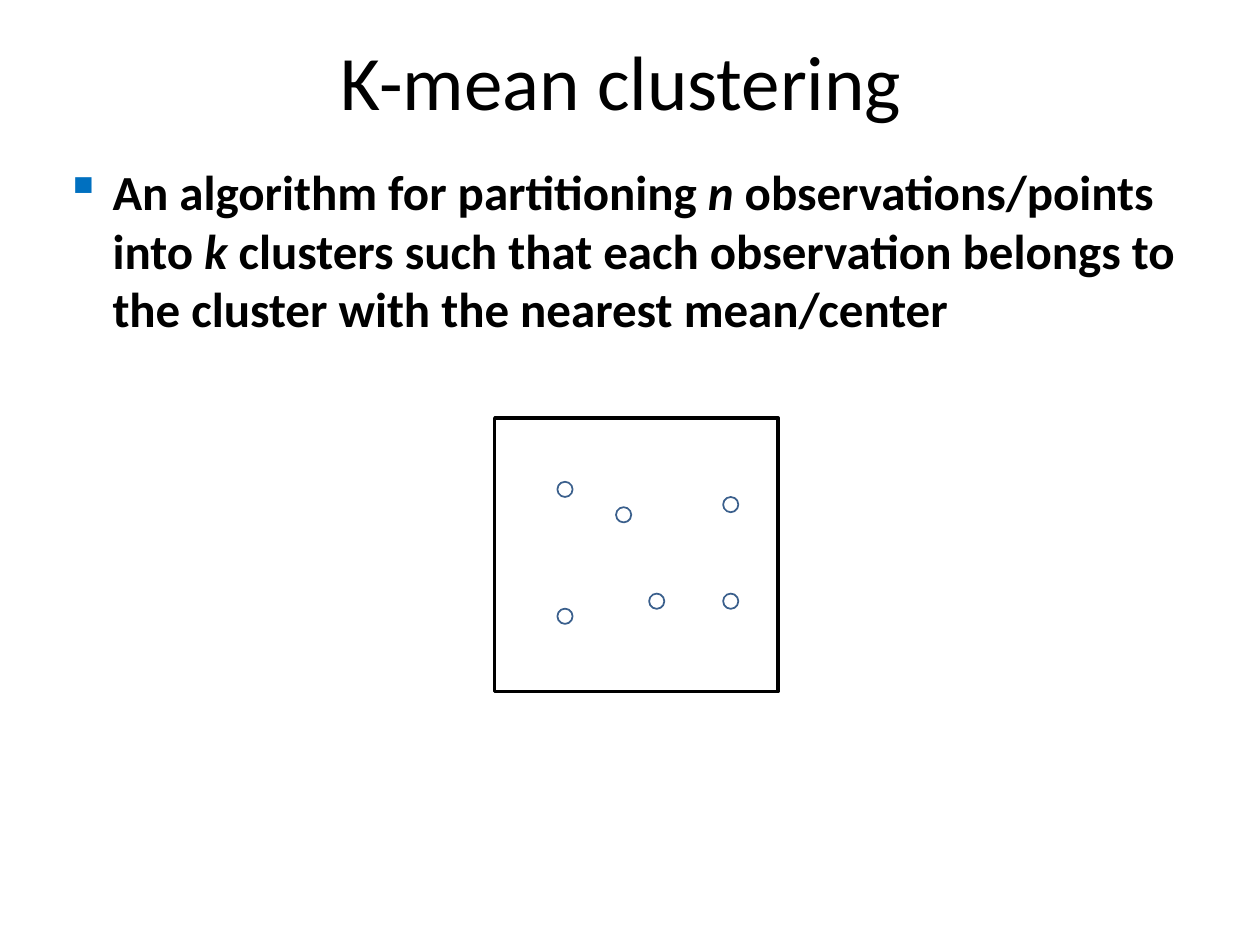
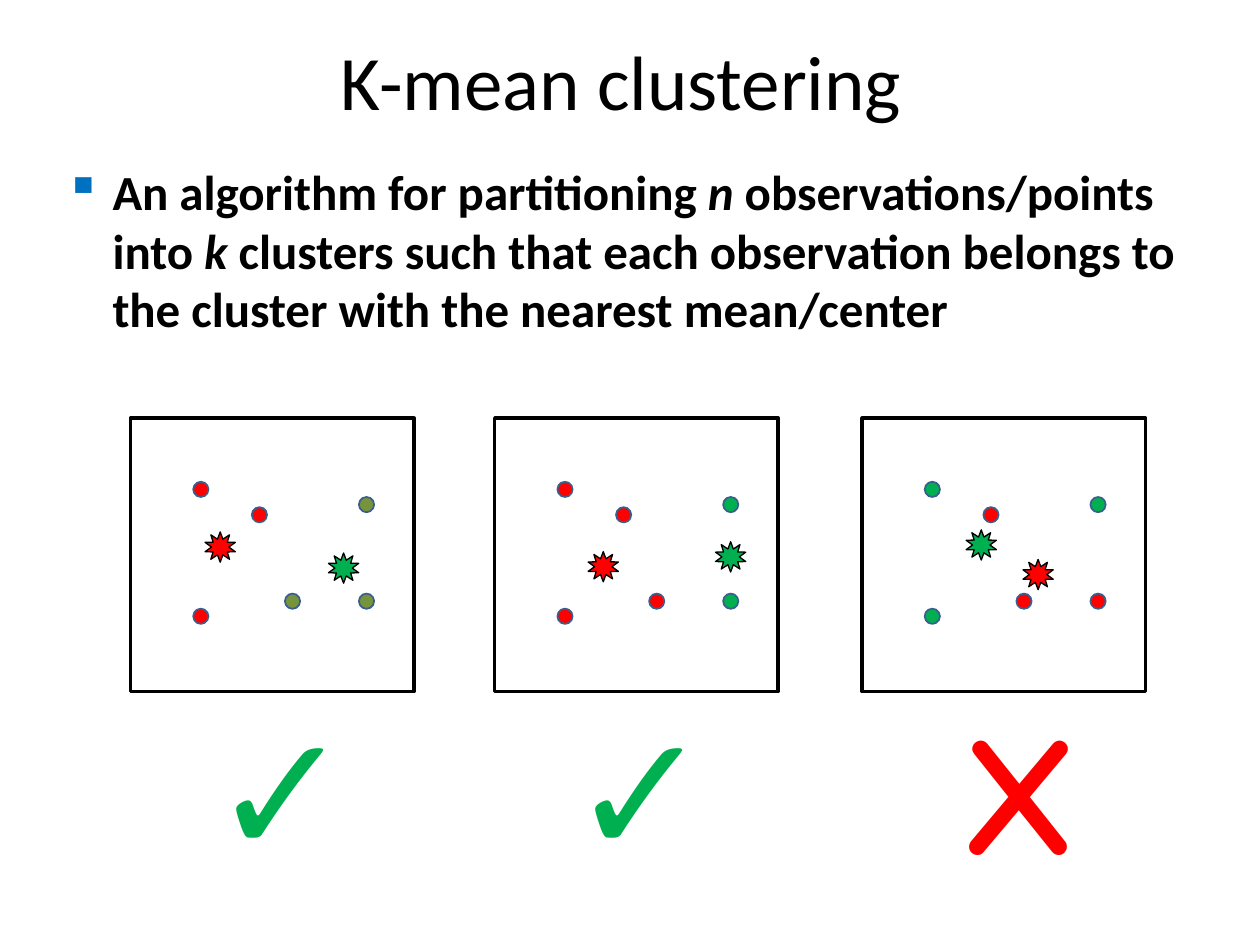
from lxml import etree
from pptx import Presentation
from pptx.dml.color import RGBColor
from pptx.enum.shapes import MSO_SHAPE
from pptx.enum.text import MSO_ANCHOR, PP_ALIGN
from pptx.oxml.ns import qn
from pptx.util import Pt

RECT, OVAL, STAR = MSO_SHAPE.RECTANGLE, MSO_SHAPE.OVAL, MSO_SHAPE.STAR_10_POINT
TOP, MIDDLE = MSO_ANCHOR.TOP, MSO_ANCHOR.MIDDLE
LEFT, CENTER = PP_ALIGN.LEFT, PP_ALIGN.CENTER

BLACK = RGBColor(0, 0, 0)
WHITE = RGBColor(0xFF, 0xFF, 0xFF)
RED = RGBColor(0xFF, 0, 0)
GREEN = RGBColor(0, 0xB0, 0x50)
OLIVE = RGBColor(0x77, 0x93, 0x3C)
DOT_EDGE = RGBColor(0x3A, 0x5F, 0x8C)
BULLET = RGBColor(0, 0x70, 0xC0)

PANEL_W, PANEL_H, PANEL_TOP = 162, 156.25, 239
PANEL_LEFTS = (74.6, 282.7, 492.6)
DOT, CENTRE_STAR = 8.7, 17.3
# Offsets of the observations from the panel's top left corner
POINTS = ((35.8, 36.3), (35.8, 108.8), (69.3, 50.8),
          (88.2, 100.2), (130.5, 45), (130.5, 100.2))

TITLE = "K-mean clustering "
DEFINITION = (
    ("An algorithm for partitioning ", False), ("n ", True),
    ("observations/points into ", False), ("k", True),
    (" clusters such that each observation belongs to the cluster "
     "with the nearest mean/center", False))

# Per panel: point colours, red and green centre offsets,
# verdict as text, left edge, width, font and colour
CLUSTERINGS = (
    ((RED, RED, RED, OLIVE, OLIVE, OLIVE), (42.6, 65), (113.1, 77),
     ("✓", 113.8, 88.6, "Calibri", GREEN)),
    ((RED, RED, RED, RED, GREEN, GREEN), (53.4, 76.2), (126.2, 70.6),
     ("✓", 319, 88.6, "Calibri", GREEN)),
    ((GREEN, GREEN, RED, RED, GREEN, RED), (92, 80.7), (59.5, 63.8),
     ("X", 542.2, 75.6, "Comic Neue", RED)),
)


def add_text(slide, runs, x, y, w, h, size, font="Calibri", color=BLACK,
             bold=False, align=LEFT, anchor=TOP, wrap=True):
    """Add one paragraph of (text, italic) runs and return it."""
    tf = slide.shapes.add_textbox(Pt(x), Pt(y), Pt(w), Pt(h)).text_frame
    tf.word_wrap = wrap
    tf.vertical_anchor = anchor
    p = tf.paragraphs[0]
    p.alignment = align
    for text, italic in runs:
        r = p.add_run()
        r.text = text
        r.font.size = Pt(size)
        r.font.name = font
        r.font.color.rgb = color
        r.font.bold = bold
        r.font.italic = italic
    return p


def add_bullet(p, indent):
    p.space_after = Pt(6)
    pPr = p._p.get_or_add_pPr()
    pPr.set("marL", str(Pt(indent)))
    pPr.set("indent", str(-Pt(indent)))
    color = etree.SubElement(pPr, qn("a:buClr"))
    etree.SubElement(color, qn("a:srgbClr")).set("val", str(BULLET))
    etree.SubElement(pPr, qn("a:buChar")).set("char", "▪")


def add_figure(shapes, kind, x, y, w, h, line, line_width, fill=None):
    sp = shapes.add_shape(kind, Pt(x), Pt(y), Pt(w), Pt(h))
    sp.shadow.inherit = False
    if fill is None:
        sp.fill.background()
    else:
        sp.fill.solid()
        sp.fill.fore_color.rgb = fill
    sp.line.color.rgb = line
    sp.line.width = Pt(line_width)
    return sp


def add_panel(slide, left, colors):
    """Add a framed group of the six observations."""
    shapes = slide.shapes.add_group_shape().shapes
    add_figure(shapes, RECT, left, PANEL_TOP, PANEL_W, PANEL_H, BLACK, 2)
    for (dx, dy), color in zip(POINTS, colors):
        add_figure(shapes, OVAL, left + dx, PANEL_TOP + dy, DOT, DOT,
                   DOT_EDGE, 1, color)


def add_centre(slide, left, offset, color):
    dx, dy = offset
    sp = add_figure(slide.shapes, STAR, left + dx, PANEL_TOP + dy,
                    CENTRE_STAR, CENTRE_STAR, BLACK, 0.75, color)
    sp.adjustments[0] = 0.274


def add_slide(prs):
    """Add a slide with the shared title and definition."""
    slide = prs.slides.add_slide(prs.slide_layouts[6])
    add_text(slide, [(TITLE, False)], 0, 0, 720, 90.7, 44,
             align=CENTER, anchor=MIDDLE)
    p = add_text(slide, DEFINITION, 30.2, 88.6, 674, 105, 28, bold=True)
    add_bullet(p, 27)
    return slide


def main():
    prs = Presentation()
    prs.slide_width, prs.slide_height = Pt(720), Pt(540)

    add_panel(add_slide(prs), PANEL_LEFTS[1], [WHITE] * len(POINTS))

    slide = add_slide(prs)
    for left, (colors, red, green, verdict) in zip(PANEL_LEFTS, CLUSTERINGS):
        add_panel(slide, left, colors)
        add_centre(slide, left, red, RED)
        add_centre(slide, left, green, GREEN)
        mark, x, width, font, color = verdict
        add_text(slide, [(mark, False)], x, 388.8, width, 123.8, 96,
                 font=font, color=color, bold=True, wrap=False)

    prs.save("out.pptx")


if __name__ == "__main__":
    main()
